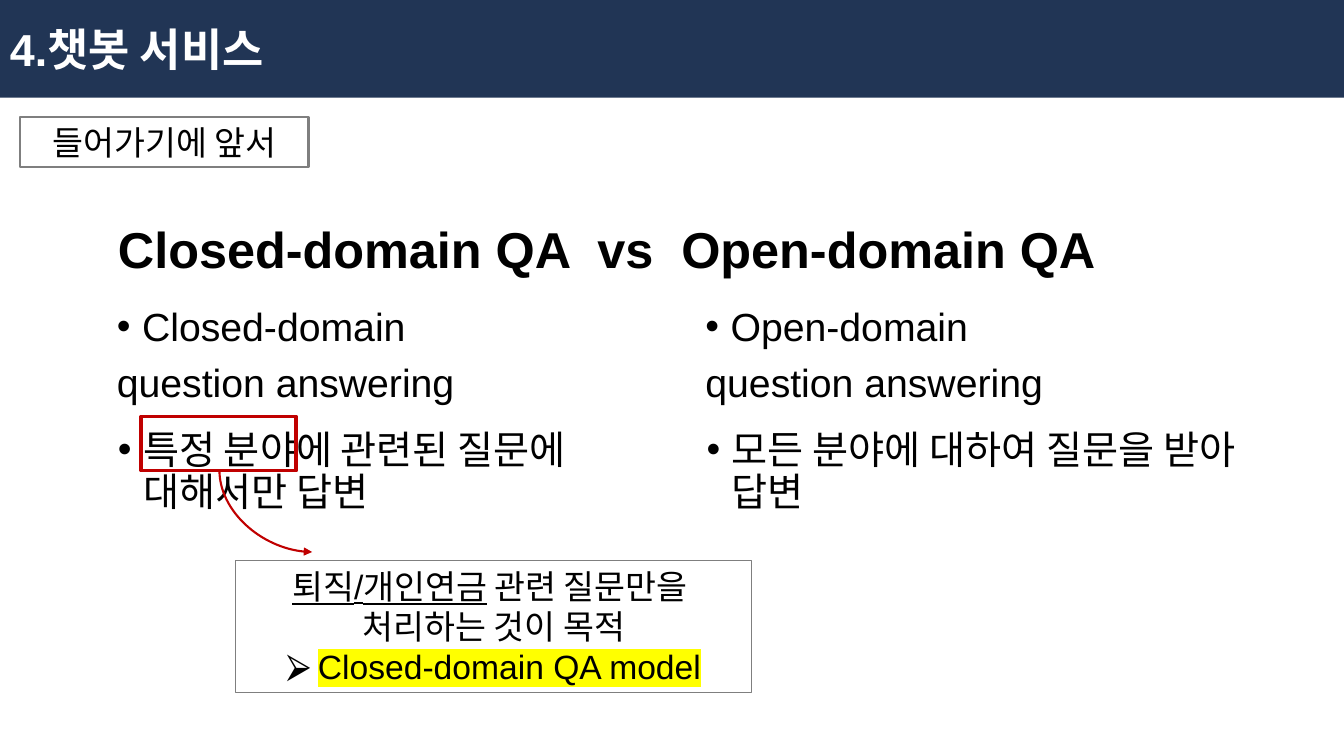
from dataclasses import dataclass

from lxml import etree
from pptx import Presentation
from pptx.dml.color import RGBColor
from pptx.enum.shapes import MSO_CONNECTOR, MSO_SHAPE
from pptx.enum.text import MSO_ANCHOR, MSO_AUTO_SIZE, PP_ALIGN
from pptx.oxml.ns import qn
from pptx.util import Inches, Pt

RECTANGLE = MSO_SHAPE.RECTANGLE
CURVE = MSO_CONNECTOR.CURVE
LEFT, CENTER = PP_ALIGN.LEFT, PP_ALIGN.CENTER
TOP, MIDDLE = MSO_ANCHOR.TOP, MSO_ANCHOR.MIDDLE
NO_FIT, GROW = MSO_AUTO_SIZE.NONE, MSO_AUTO_SIZE.SHAPE_TO_FIT_TEXT


@dataclass(frozen=True)
class Theme:
    font: str = "Arial"
    navy: str = "213555"
    white: str = "FFFFFF"
    black: str = "000000"
    grey: str = "7F7F7F"
    red: str = "C00000"
    yellow: str = "FFFF00"
    headline: int = 36
    banner: int = 32
    body: int = 28
    note: int = 24


class Deck:
    """Places styled elements on a grid of 48 columns and 27 rows."""

    COLUMNS, ROWS = 48, 27

    def __init__(self, theme):
        self.theme = theme
        self.file = Presentation()
        self.file.slide_width, self.file.slide_height = Inches(13.33), Inches(7.5)
        self.slide = self.file.slides.add_slide(self.file.slide_layouts[5])

    def place(self, column, row, columns, rows):
        x = self.file.slide_width / self.COLUMNS
        y = self.file.slide_height / self.ROWS
        return [int(n) for n in (column * x, row * y, columns * x, rows * y)]

    def frame(self, holder, anchor=TOP, fit=NO_FIT):
        text = holder.text_frame
        text.word_wrap = True
        text.auto_size = fit
        text.vertical_anchor = anchor
        return text

    def fill_text(self, paragraph, words, size, color=None, bold=False, align=LEFT,
                  bullet=None, indent=0.25, spacing=None, before=None):
        """Fill a paragraph with one run for each string in words."""
        color = color or self.theme.black
        if bullet:
            properties = paragraph._p.get_or_add_pPr()
            properties.set("marL", str(Inches(indent)))
            properties.set("indent", str(-Inches(indent)))
            tint = etree.SubElement(properties, qn("a:buClr"))
            etree.SubElement(tint, qn("a:srgbClr"), val=color)
            etree.SubElement(properties, qn("a:buFont"), typeface=self.theme.font)
            etree.SubElement(properties, qn("a:buChar"), char=bullet)
        paragraph.alignment = align
        if spacing:
            paragraph.line_spacing = spacing
        if before:
            paragraph.space_before = Pt(before)
        font = paragraph.font
        font.name, font.size, font.bold = self.theme.font, Pt(size), bold
        font.color.rgb = RGBColor.from_string(color)
        for part in words:
            paragraph.add_run().text = part
        return paragraph.runs

    def title(self, words, *cell):
        heading = self.slide.shapes.title
        heading.left, heading.top, heading.width, heading.height = self.place(*cell)
        text = self.frame(heading, MIDDLE)
        self.fill_text(text.paragraphs[0], [words], self.theme.headline, bold=True, spacing=0.9)

    def box(self, *cell, fill=None, line=None, weight=1.0, anchor=TOP, fit=NO_FIT):
        shape = self.slide.shapes.add_shape(RECTANGLE, *self.place(*cell))
        shape.shadow.inherit = False
        if fill:
            shape.fill.solid()
            shape.fill.fore_color.rgb = RGBColor.from_string(fill)
        else:
            shape.fill.background()
        if line:
            shape.line.color.rgb = RGBColor.from_string(line)
            shape.line.width = Pt(weight)
        else:
            shape.line.fill.background()
        return self.frame(shape, anchor, fit)

    def points(self, bulleted, following, *cell):
        """A bulleted line, with an optional plain line below it."""
        text = self.frame(self.slide.shapes.add_textbox(*self.place(*cell)))
        size = self.theme.body
        self.fill_text(text.paragraphs[0], [bulleted], size, bullet="•", spacing=0.9)
        if following:
            self.fill_text(text.add_paragraph(), [following], size, spacing=0.9, before=10)

    def highlight(self, run, color):
        mark = etree.SubElement(run.font._element, qn("a:highlight"))
        etree.SubElement(mark, qn("a:srgbClr"), val=color)

    def bent_arrow(self, *cell):
        """A quarter curve that leaves downwards and arrives from the left."""
        x, y, width, height = self.place(*cell)
        arrow = self.slide.shapes.add_connector(CURVE, x + width, y, x, y + height)
        properties = arrow._element.spPr
        properties.find(qn("a:xfrm")).set("rot", str(270 * 60000))
        properties.find(qn("a:prstGeom")).set("prst", "curvedConnector2")
        arrow.line.color.rgb = RGBColor.from_string(self.theme.red)
        arrow.line.width = Pt(1.5)
        etree.SubElement(properties.find(qn("a:ln")), qn("a:tailEnd"), type="triangle")
        etree.SubElement(properties, qn("a:effectLst"))


def main():
    theme = Theme()
    deck = Deck(theme)

    # Section banner and topic label
    banner = deck.box(0, 0, 48, 3.49, fill=theme.navy, anchor=MIDDLE)
    deck.fill_text(banner.paragraphs[0], ["4.챗봇 서비스"], theme.banner, theme.white, bold=True)
    topic = deck.box(0.72, 4.18, 10.3, 1.8, line=theme.grey, weight=1.5, fit=GROW)
    deck.fill_text(topic.paragraphs[0], ["들어가기에 앞서"], theme.note, align=CENTER)

    # Headline
    deck.title("Closed-domain QA  vs  Open-domain QA", 3.85, 8.35, 40.57, 1.33)

    # The two kinds of question answering, side by side
    kinds = [("Closed-domain", "특정 분야에 관련된 질문에 대해서만 답변"),
             ("Open-domain", "모든 분야에 대하여 질문을 받아 답변")]
    for index, (kind, meaning) in enumerate(kinds):
        column = 3.82 + 21.02 * index
        deck.points(kind, "question answering", column, 10.8, 20.4, 3.24)
        deck.points(meaning, None, column + 0.04, 15.19, 20.4, 4)

    # Marked phrase and the note it leads to
    deck.box(5.04, 14.87, 5.54, 1.94, line=theme.red, weight=2.5)
    purpose = deck.box(8.42, 20.02, 18.43, 4.72, line=theme.grey, weight=0.75, fit=GROW)
    subject, _ = deck.fill_text(purpose.paragraphs[0], ["퇴직/개인연금", " 관련 질문만을 "],
                                theme.note, align=CENTER)
    subject.font.underline = True
    deck.fill_text(purpose.add_paragraph(), ["처리하는 것이 목적"], theme.note, align=CENTER)
    model, = deck.fill_text(purpose.add_paragraph(), ["Closed-domain QA model"], theme.note,
                            align=CENTER, bullet="⮚", indent=0.31)
    deck.highlight(model, theme.yellow)
    deck.bent_arrow(8.03, 16.6, 2.92, 3.31)

    deck.file.save("out.pptx")


if __name__ == "__main__":
    main()
